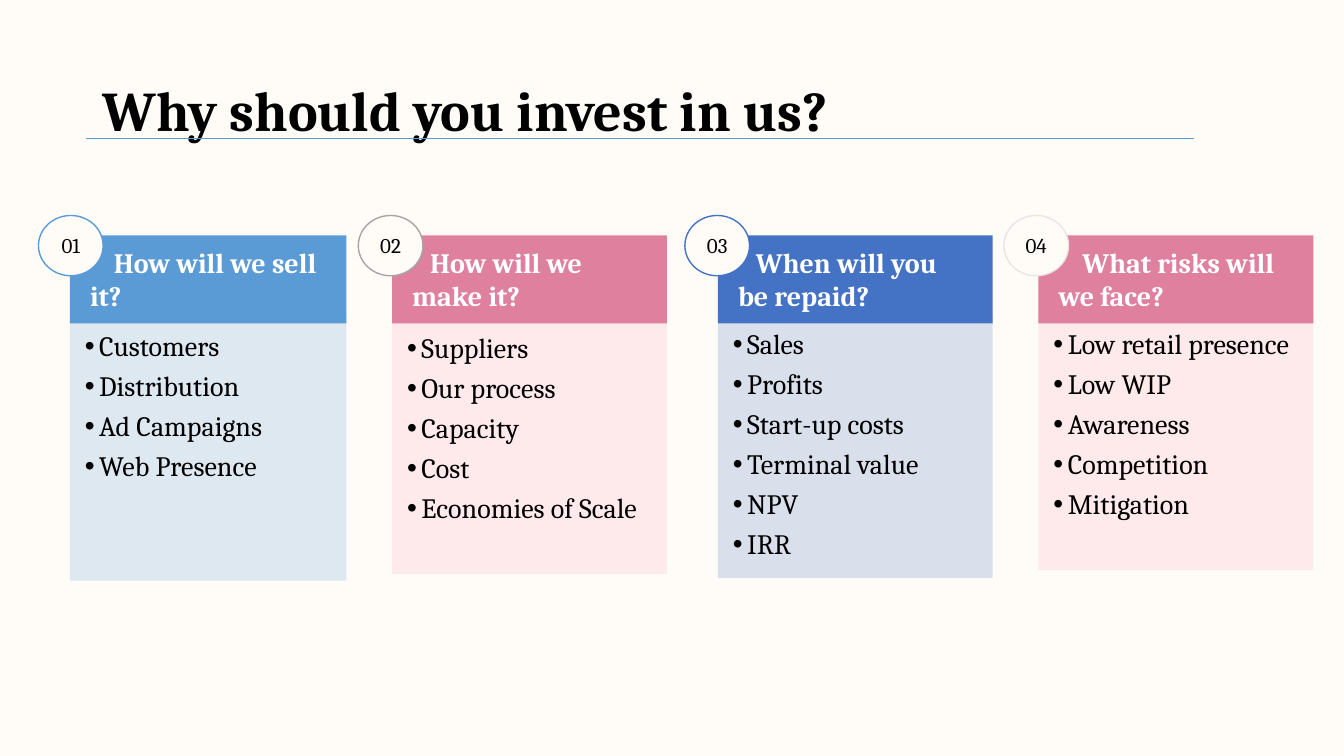
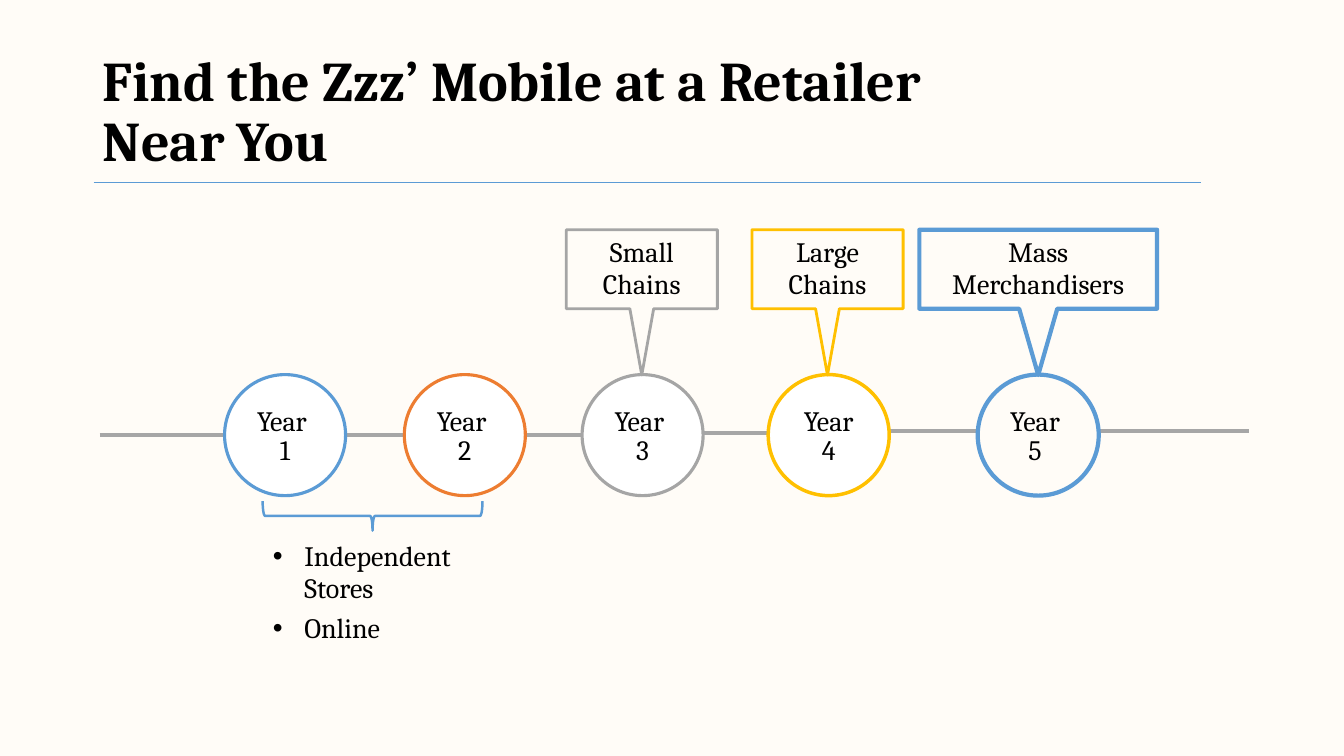
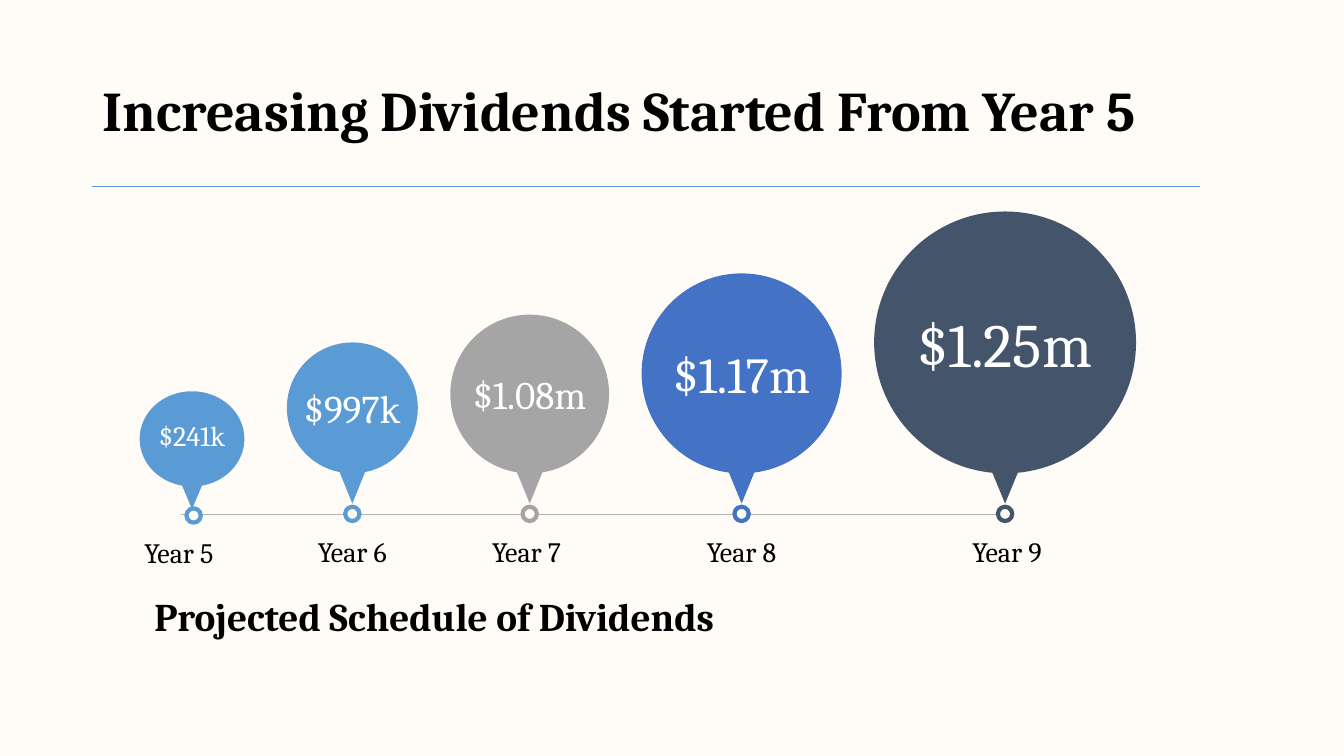
import math
from dataclasses import dataclass, replace
from typing import Optional

import lxml.etree
import pptx
import pptx.dml.color
import pptx.enum.shapes
import pptx.enum.text
import pptx.oxml.ns
import pptx.util

Cm = pptx.util.Cm
Pt = pptx.util.Pt
SHAPE = pptx.enum.shapes.MSO_SHAPE
ALIGN = pptx.enum.text.PP_ALIGN
ANCHOR = pptx.enum.text.MSO_ANCHOR


# Theme: colours and type sizes
@dataclass(frozen=True)
class Theme:
    font: str = "Cambria"
    background: str = "FFFCF7"
    black: str = "000000"
    white: str = "FFFFFF"
    blue: str = "5B9BD5"
    royal: str = "4472C4"
    navy: str = "44546A"
    gray: str = "A5A5A5"
    pale_gray: str = "E7E6E6"
    timeline_gray: str = "A6A6A6"
    axis_gray: str = "B2B2B2"
    rose: str = "DF809F"
    pink: str = "FFA3BB"
    orange: str = "ED7D31"
    gold: str = "FFC000"
    title_size: int = 40
    subtitle_size: int = 28
    body_size: int = 20
    number_size: int = 15


THEME = Theme()


@dataclass(frozen=True)
class TextStyle:
    size: int = THEME.body_size
    color: str = THEME.black
    bold: bool = False
    align: ALIGN = ALIGN.LEFT
    anchor: ANCHOR = ANCHOR.TOP
    insets: tuple[float, float, float, float] = (0.25, 0.13, 0.25, 0.13)
    wrap: bool = True
    line_spacing: float = 1.0
    space_before: int = 0
    space_after: int = 0
    left_margin: float = 0
    first_indent: float = 0
    bullet: bool = False


TITLE = TextStyle(THEME.title_size, bold=True, anchor=ANCHOR.MIDDLE, line_spacing=0.9)
SUBTITLE = TextStyle(THEME.subtitle_size, bold=True)
CARD_HEADER = TextStyle(color=THEME.white, bold=True, insets=(0.51, 0.25, 0.6, 0.25))
CARD_BODY = TextStyle(insets=(0.38, 0.38, 0.38, 0.38), line_spacing=0.94, space_after=6,
                      left_margin=0.36, first_indent=-0.36, bullet=True)
CARD_NUMBER = TextStyle(THEME.number_size, align=ALIGN.CENTER, anchor=ANCHOR.MIDDLE, wrap=False)
YEAR = TextStyle(align=ALIGN.CENTER, anchor=ANCHOR.MIDDLE, insets=(0, 0.25, 0, 0.13),
                 wrap=False, line_spacing=0.85)
CALLOUT = TextStyle(align=ALIGN.CENTER, insets=(0.25, 0.18, 0.25, 0.15), line_spacing=0.95)
CHANNELS = TextStyle(line_spacing=0.95, space_before=3, space_after=3,
                     left_margin=0.79, first_indent=-0.79, bullet=True)
AMOUNT = TextStyle(color=THEME.white, align=ALIGN.CENTER, anchor=ANCHOR.MIDDLE,
                   insets=(0.25, 0.13, 0.25, 0.89))
AXIS_LABEL = TextStyle(align=ALIGN.CENTER)


# Content records, lengths in centimetres
@dataclass(frozen=True)
class Card:
    heading: str
    items: tuple[str, ...]
    left: float
    body_top: float
    body_height: float
    number_left: float
    heading_indent: float
    header_color: str
    body_color: str
    ring_color: str
    width: float = 6.93


@dataclass(frozen=True)
class Callout:
    text: str
    left: float
    width: float
    tail: float = 0.3
    line_width: float = 2


@dataclass(frozen=True)
class Milestone:
    lines: tuple[str, str]
    left: float
    color: str
    line_width: float = 2.25
    fill: Optional[str] = THEME.white
    callout: Optional[Callout] = None


@dataclass(frozen=True)
class Dividend:
    year: str
    amount: str
    size: int
    color: str
    center: float
    radius_x: float
    radius_y: float
    label_center: float
    tail: float = 0.32
    bottom: float = 11.93
    tip: float = 12.69
    marker_y: float = 12.95
    marker_shift: float = 0


CARDS = (
    Card("How will we sell it?", ("Customers", "Distribution", "Ad Campaigns", "Web Presence"),
         1.76, 7.97, 6.66, 0.97, 0.6, THEME.blue, THEME.blue, THEME.blue, 6.97),
    Card("How will we make it?",
         ("Suppliers", "Our process", "Capacity", "Cost", "Economies of Scale"),
         9.88, 8.01, 6.45, 9.03, 0.45, THEME.rose, THEME.pink, THEME.gray),
    Card("When will you be repaid?",
         ("Sales", "Profits", "Start-up costs", "Terminal value", "NPV", "IRR"),
         18.09, 7.92, 6.65, 17.26, 0.45, THEME.royal, THEME.royal, THEME.royal),
    Card("What risks will we face?",
         ("Low retail presence", "Low WIP", "Awareness", "Competition", "Mitigation"),
         26.17, 7.92, 6.45, 25.3, 0.6, THEME.rose, THEME.pink, THEME.pale_gray),
)
MILESTONES = (
    Milestone(("Year ", "1"), 5.66, THEME.blue),
    Milestone(("Year ", "2"), 10.19, THEME.orange),
    Milestone(("Year ", "3"), 14.67, THEME.gray, callout=Callout("Small Chains", 14.27, 3.81)),
    Milestone(("Year", "4"), 19.36, THEME.gold, 2.5,
              callout=Callout("Large Chains", 18.95, 3.81)),
    Milestone(("Year ", "5 "), 24.64, THEME.blue, 3, None,
              Callout("Mass Merchandisers", 23.17, 5.99, 0.48, 3)),
)
# Timeline pieces: start, end, height on the slide
TIMELINE = ((2.51, 5.66, 10.97), (8.71, 11.13, 10.97), (12.27, 14.68, 10.97),
            (17.73, 20.14, 10.92), (22.23, 24.64, 10.87), (27.69, 31.47, 10.87))
DIVIDENDS = (
    Dividend("Year 5", "$241k", 20, THEME.blue, 4.84, 1.32, 1.2, 4.51,
             0.25, 12.26, 12.83, 12.99, 0.04),
    Dividend("Year 6", "$997k", 28, THEME.blue, 8.88, 1.65, 1.65, 8.88),
    Dividend("Year 7 ", "$1.08m", 28, THEME.gray, 13.35, 2.0, 2.0, 13.35),
    Dividend("Year 8", "$1.17m", 36, THEME.royal, 18.69, 2.52, 2.52, 18.69),
    Dividend("Year 9", "$1.25m", 44, THEME.navy, 25.33, 3.3, 3.3, 25.38),
)


# Drawing helpers
def rgb(color: str) -> pptx.dml.color.RGBColor:
    return pptx.dml.color.RGBColor.from_string(color)


def add_element(parent, tag: str, **attributes: str):
    return lxml.etree.SubElement(parent, pptx.oxml.ns.qn(tag), **attributes)


def write_text(shape, lines: tuple[str, ...], style: TextStyle) -> None:
    frame = shape.text_frame
    frame.word_wrap = style.wrap
    frame.vertical_anchor = style.anchor
    (frame.margin_left, frame.margin_top,
     frame.margin_right, frame.margin_bottom) = map(Cm, style.insets)
    for index, line in enumerate(lines):
        paragraph = frame.add_paragraph() if index else frame.paragraphs[0]
        paragraph.text = line
        paragraph.alignment = style.align
        properties = paragraph._p.get_or_add_pPr()
        properties.set("marL", str(Cm(style.left_margin)))
        properties.set("indent", str(Cm(style.first_indent)))
        if style.bullet:
            add_element(properties, "a:buFont", typeface="Arial")
            add_element(properties, "a:buChar", char="•")
        paragraph.line_spacing = style.line_spacing
        paragraph.space_before = Pt(style.space_before if index else 0)
        paragraph.space_after = Pt(style.space_after)
        paragraph.font.name = THEME.font
        paragraph.font.size = Pt(style.size)
        paragraph.font.bold = style.bold
        paragraph.font.color.rgb = rgb(style.color)


def add_text(slide, left: float, top: float, width: float, height: float,
             lines: tuple[str, ...], style: TextStyle) -> None:
    write_text(slide.shapes.add_textbox(Cm(left), Cm(top), Cm(width), Cm(height)), lines, style)


def paint(shape, fill: Optional[str] = None, line: Optional[str] = None,
          line_width: float = 1, opacity: int = 100) -> None:
    shape.shadow.inherit = False
    if fill:
        shape.fill.solid()
        shape.fill.fore_color.rgb = rgb(fill)
        if opacity < 100:
            color = shape._element.spPr.find(".//" + pptx.oxml.ns.qn("a:srgbClr"))
            add_element(color, "a:alpha", val=str(opacity * 1000))
    else:
        shape.fill.background()
    if line:
        shape.line.color.rgb = rgb(line)
        shape.line.width = Pt(line_width)
    else:
        shape.line.fill.background()


def add_preset(slide, kind: SHAPE, left: float, top: float, width: float, height: float,
               **look):
    shape = slide.shapes.add_shape(kind, Cm(left), Cm(top), Cm(width), Cm(height))
    paint(shape, **look)
    return shape


def add_outline(slide, points: list[tuple[float, float]], **look):
    first, *others = [(Cm(x), Cm(y)) for x, y in points]
    builder = slide.shapes.build_freeform(*first)
    builder.add_line_segments(others, close=True)
    shape = builder.convert_to_shape()
    paint(shape, **look)
    return shape


def add_rule(slide, start: float, end: float, y: float, color: str, width: float) -> None:
    connector = slide.shapes.add_connector(
        pptx.enum.shapes.MSO_CONNECTOR.STRAIGHT, Cm(start), Cm(y), Cm(end), Cm(y))
    connector.line.color.rgb = rgb(color)
    connector.line.width = Pt(width)
    add_element(connector._element.spPr, "a:effectLst")


def add_titled_slide(presentation, title: str, rule_left: float, rule_y: float):
    slide = presentation.slides.add_slide(presentation.slide_layouts[6])
    add_text(slide, 2.34, 1.02, 29.21, 3.68, (title,), TITLE)
    add_rule(slide, rule_left, rule_left + 27.91, rule_y, THEME.blue, 0.5)
    return slide


# Repeated elements
def draw_card(slide, number: int, card: Card) -> None:
    body = add_preset(slide, SHAPE.RECTANGLE, card.left, card.body_top, card.width,
                      card.body_height, fill=card.body_color, opacity=20)
    write_text(body, card.items, CARD_BODY)
    header = add_preset(slide, SHAPE.RECTANGLE, card.left, 5.93, card.width, 2.22,
                        fill=card.header_color)
    write_text(header, (card.heading,), replace(CARD_HEADER, first_indent=card.heading_indent))
    badge = add_preset(slide, SHAPE.OVAL, card.number_left, 5.43, 1.63, 1.52,
                       fill=THEME.background, line=card.ring_color)
    write_text(badge, (f"{number:02d}",), CARD_NUMBER)


def draw_callout(slide, callout: Callout, color: str) -> None:
    top, bottom, tip = 5.79, 7.78, 9.45
    left, right = callout.left, callout.left + callout.width
    center = (left + right) / 2
    points = [(left, top), (right, top), (right, bottom), (center + callout.tail, bottom),
              (center, tip), (center - callout.tail, bottom), (left, bottom)]
    shape = add_outline(slide, points, line=color, line_width=callout.line_width)
    write_text(shape, (callout.text,), CALLOUT)


def draw_milestone(slide, milestone: Milestone) -> None:
    circle = add_preset(slide, SHAPE.OVAL, milestone.left, 9.44, 3.05, 3.05,
                        fill=milestone.fill, line=milestone.color,
                        line_width=milestone.line_width)
    write_text(circle, milestone.lines, YEAR)
    if milestone.callout:
        draw_callout(slide, milestone.callout, milestone.color)


def add_balloon(slide, dividend: Dividend):
    """Draw an ellipse with a pointed tail; angles run clockwise from the top."""
    center_y = dividend.bottom - dividend.radius_y
    gap = math.asin(dividend.tail / dividend.radius_x)

    def rim(angle: float, pull: float = 0) -> tuple[float, float]:
        across, down = math.sin(angle), -math.cos(angle)
        return (dividend.center + dividend.radius_x * (across - pull * down),
                center_y + dividend.radius_y * (down + pull * across))

    right_side = (0, math.pi / 2, math.pi - gap)
    left_side = (math.pi + gap, 3 * math.pi / 2, 2 * math.pi)
    corners = [*map(rim, right_side), (dividend.center, dividend.tip), *map(rim, left_side)]
    shape = add_outline(slide, corners, fill=dividend.color)

    # Bend the straight sides, leaving the two tail edges as they are
    sides = list(shape._element.spPr.iter(pptx.oxml.ns.qn("a:lnTo")))
    curved = sides[:2] + sides[4:]
    arcs = [*zip(right_side, right_side[1:]), *zip(left_side, left_side[1:])]
    for side, (start, end) in zip(curved, arcs):
        pull = 4 / 3 * math.tan((end - start) / 4)
        side.tag = pptx.oxml.ns.qn("a:cubicBezTo")
        for index, (x, y) in enumerate((rim(start, pull), rim(end, -pull))):
            point = add_element(side, "a:pt", x=str(Cm(x) - shape.left),
                                y=str(Cm(y) - shape.top))
            side.insert(index, point)
    return shape


def draw_dividend(slide, dividend: Dividend) -> None:
    balloon = add_balloon(slide, dividend)
    write_text(balloon, (dividend.amount,), replace(AMOUNT, size=dividend.size))
    # Marker and year under the balloon
    marker = 0.36
    add_preset(slide, SHAPE.OVAL, dividend.center + dividend.marker_shift - marker / 2,
               dividend.marker_y - marker / 2, marker, marker,
               fill=THEME.background, line=dividend.color, line_width=3)
    add_text(slide, dividend.label_center - 2, dividend.marker_y + 0.38, 4, 1.12,
             (dividend.year,), AXIS_LABEL)


# Slides
def build_invest_slide(presentation) -> None:
    slide = add_titled_slide(presentation, "Why should you invest in us?", 2.17, 3.48)
    for number, card in enumerate(CARDS, start=1):
        draw_card(slide, number, card)


def build_retailer_slide(presentation) -> None:
    slide = add_titled_slide(
        presentation, "Find the Zzz’ Mobile at a Retailer\vNear You", 2.36, 4.6)
    for start, end, y in TIMELINE:
        add_rule(slide, start, end, y, THEME.timeline_gray, 3)
    for milestone in MILESTONES:
        draw_milestone(slide, milestone)
    brace = add_preset(slide, SHAPE.LEFT_BRACE, 9.02, 10.23, 0.74, 5.54,
                       line=THEME.blue, line_width=1.75)
    brace.rotation = 270
    add_text(slide, 6.63, 13.5, 6.63, 2.9, ("Independent Stores", "Online"), CHANNELS)


def build_dividend_slide(presentation) -> None:
    slide = add_titled_slide(
        presentation, "Increasing Dividends Started From Year 5", 2.33, 4.7)
    start = 4.55
    for dividend in DIVIDENDS[1:]:
        add_rule(slide, start, dividend.center - 0.18, 12.95, THEME.axis_gray, 0.5)
        start = dividend.center + 0.18
    for dividend in DIVIDENDS:
        draw_dividend(slide, dividend)
    add_text(slide, 3.64, 14.8, 17.4, 1.5, ("Projected Schedule of Dividends",), SUBTITLE)


def main() -> None:
    presentation = pptx.Presentation()
    presentation.slide_width = Cm(33.87)
    presentation.slide_height = Cm(19.05)
    background = presentation.slide_master.background.fill
    background.solid()
    background.fore_color.rgb = rgb(THEME.background)
    build_invest_slide(presentation)
    build_retailer_slide(presentation)
    build_dividend_slide(presentation)
    presentation.save("out.pptx")


if __name__ == "__main__":
    main()
